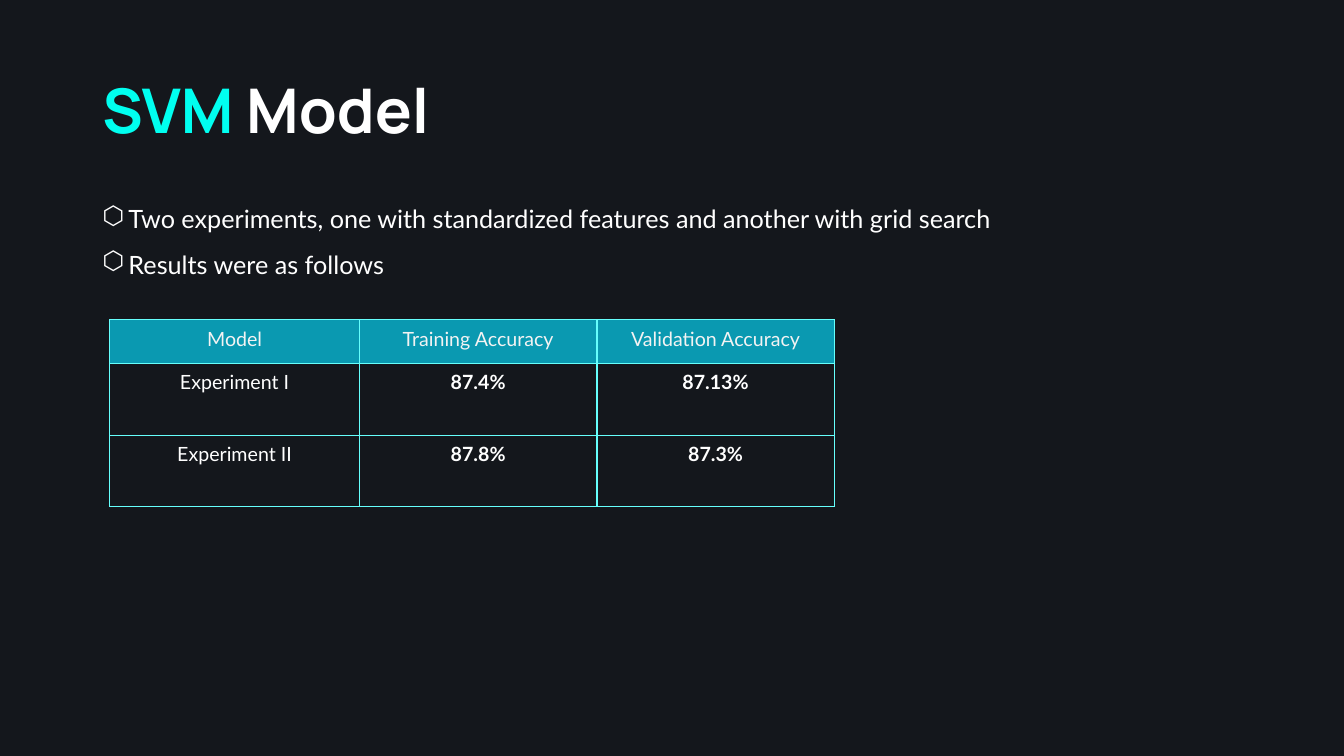
import dataclasses

import lxml.etree
import pptx
import pptx.dml.color
import pptx.enum.text
import pptx.oxml
import pptx.oxml.ns
import pptx.util

Pt = pptx.util.Pt
Align = pptx.enum.text.PP_ALIGN
Anchor = pptx.enum.text.MSO_ANCHOR
NAMESPACE = pptx.oxml.ns.nsdecls("a")

BACKGROUND = "14171C"
WHITE = "FFFFFF"
CYAN = "00FFF0"
BORDER = "66FFFC"
HEADER_FILL = "0A99B1"
HEADER_TEXT = "F3F3F3"
BULLET_INDENT = 18.75
CELL_MARGIN = 5


@dataclasses.dataclass(frozen=True)
class Box:
    left: float
    top: float
    width: float
    height: float

    def lengths(self) -> tuple:
        return Pt(self.left), Pt(self.top), Pt(self.width), Pt(self.height)


@dataclasses.dataclass(frozen=True)
class Experiment:
    name: str
    training: str
    validation: str


TITLE_BOX = Box(66, 28.8, 828, 104.4)
BULLET_BOX = Box(66, 131, 720.75, 70)
TABLE_BOX = Box(78.4, 228.4, 517.6, 133.6)
COLUMN_WIDTHS = (178.4, 169.6, 169.6)
ROW_HEIGHTS = (31.4, 51.1, 51.1)

BULLETS = (
    "Two experiments, one with standardized features and another with grid search",
    "Results were as follows",
)
HEADINGS = ("Model", "Training Accuracy", "Validation Accuracy")
EXPERIMENTS = (
    Experiment("Experiment I", "87.4%", "87.13%"),
    Experiment("Experiment II", "87.8%", "87.3%"),
)


def color(value: str) -> pptx.dml.color.RGBColor:
    return pptx.dml.color.RGBColor.from_string(value)


def add_text(paragraph, text: str, *, size: float, font: str = "Lato",
             fill: str = WHITE, bold: bool = False, align=Align.LEFT,
             spacing: float = 1.0) -> None:
    paragraph.alignment = align
    paragraph.line_spacing = spacing
    run = paragraph.add_run()
    run.text = text
    run.font.name = font
    run.font.size = Pt(size)
    run.font.bold = bold
    run.font.color.rgb = color(fill)


def add_text_frame(slide, box: Box, anchor):
    frame = slide.shapes.add_textbox(*box.lengths()).text_frame
    frame.word_wrap = True
    frame.vertical_anchor = anchor
    return frame


def add_bullet(paragraph, character: str) -> None:
    properties = paragraph._p.get_or_add_pPr()
    properties.set("marL", str(Pt(BULLET_INDENT)))
    properties.set("indent", str(-Pt(BULLET_INDENT)))
    bullet = lxml.etree.SubElement(properties, pptx.oxml.ns.qn("a:buChar"))
    bullet.set("char", character)


def add_borders(cell) -> None:
    properties = cell._tc.get_or_add_tcPr()
    for index, side in enumerate(("lnL", "lnR", "lnT", "lnB")):
        line = pptx.oxml.parse_xml(
            f'<a:{side} {NAMESPACE} w="{Pt(1)}"><a:solidFill>'
            f'<a:srgbClr val="{BORDER}"/></a:solidFill></a:{side}>')
        properties.insert(index, line)


def add_results(slide) -> None:
    rows = [HEADINGS, *map(dataclasses.astuple, EXPERIMENTS)]
    table = slide.shapes.add_table(
        len(rows), len(HEADINGS), *TABLE_BOX.lengths()).table
    table.horz_banding = False
    for column, width in zip(table.columns, COLUMN_WIDTHS):
        column.width = Pt(width)
    for row, height in zip(table.rows, ROW_HEIGHTS):
        row.height = Pt(height)

    for row_index, values in enumerate(rows):
        is_header = row_index == 0
        for column_index, value in enumerate(values):
            cell = table.cell(row_index, column_index)
            cell.margin_left = cell.margin_right = Pt(CELL_MARGIN)
            cell.margin_top = cell.margin_bottom = Pt(CELL_MARGIN)
            if is_header:
                cell.fill.solid()
                cell.fill.fore_color.rgb = color(HEADER_FILL)
            else:
                cell.fill.background()
            add_borders(cell)
            add_text(cell.text_frame.paragraphs[0], value, size=14,
                     fill=HEADER_TEXT if is_header else WHITE,
                     bold=not is_header and column_index > 0,
                     align=Align.CENTER)


def main() -> None:
    presentation = pptx.Presentation()
    presentation.slide_width = Pt(960)
    presentation.slide_height = Pt(540)
    slide = presentation.slides.add_slide(presentation.slide_layouts[6])
    slide.background.fill.solid()
    slide.background.fill.fore_color.rgb = color(BACKGROUND)

    # Title
    title = add_text_frame(slide, TITLE_BOX, Anchor.MIDDLE).paragraphs[0]
    for text, fill in (("SVM", CYAN), (" Model", WHITE)):
        add_text(title, text, size=44, font="Manrope", fill=fill, bold=True,
                 spacing=0.9)

    # Bullets
    frame = add_text_frame(slide, BULLET_BOX, Anchor.TOP)
    for index, text in enumerate(BULLETS):
        paragraph = frame.add_paragraph() if index else frame.paragraphs[0]
        add_bullet(paragraph, "⬡")
        add_text(paragraph, text, size=18, spacing=1.5)

    # Accuracy table
    add_results(slide)

    presentation.save("out.pptx")


if __name__ == "__main__":
    main()
